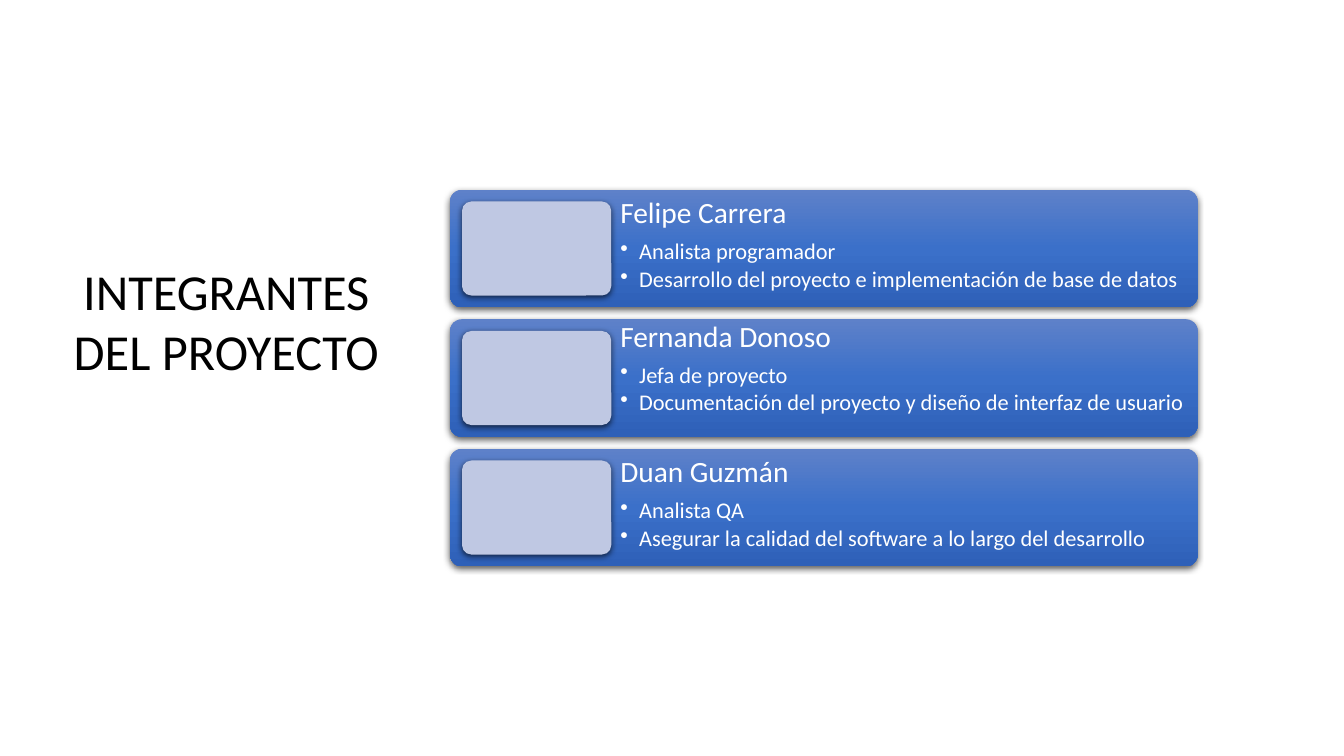
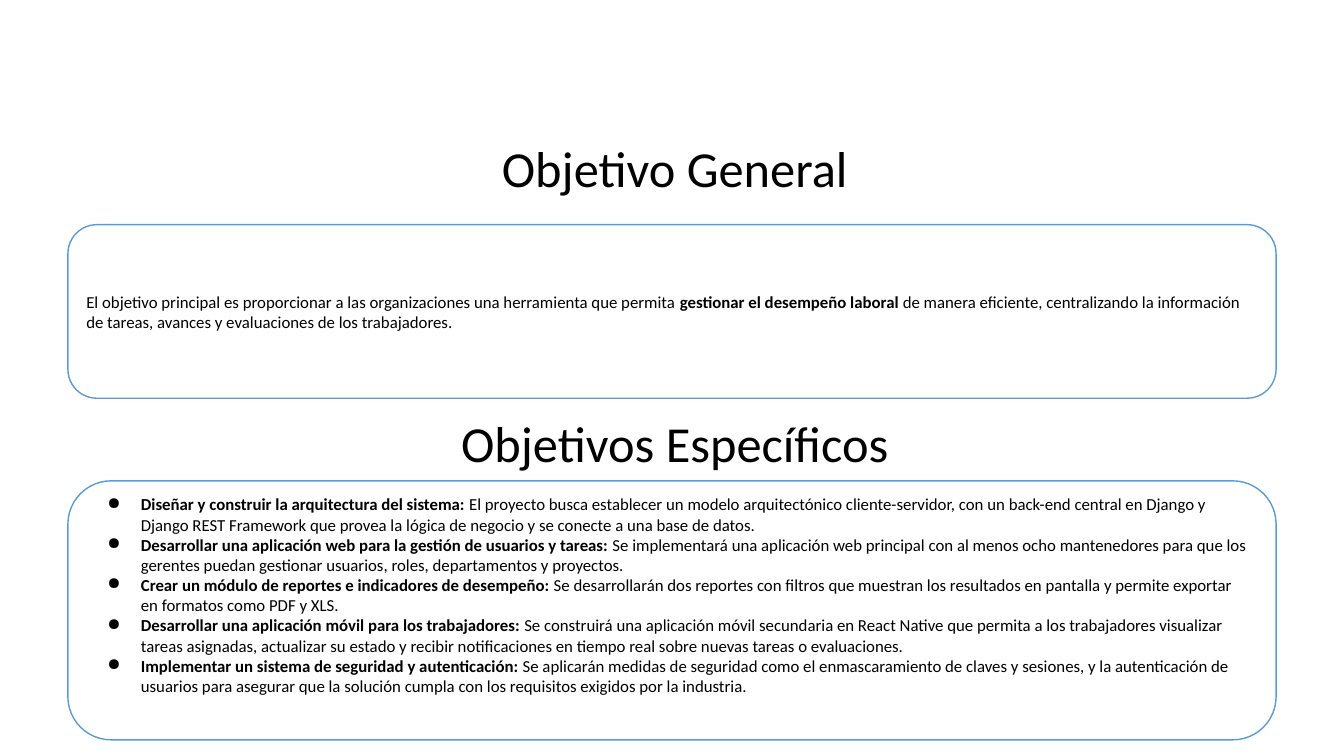
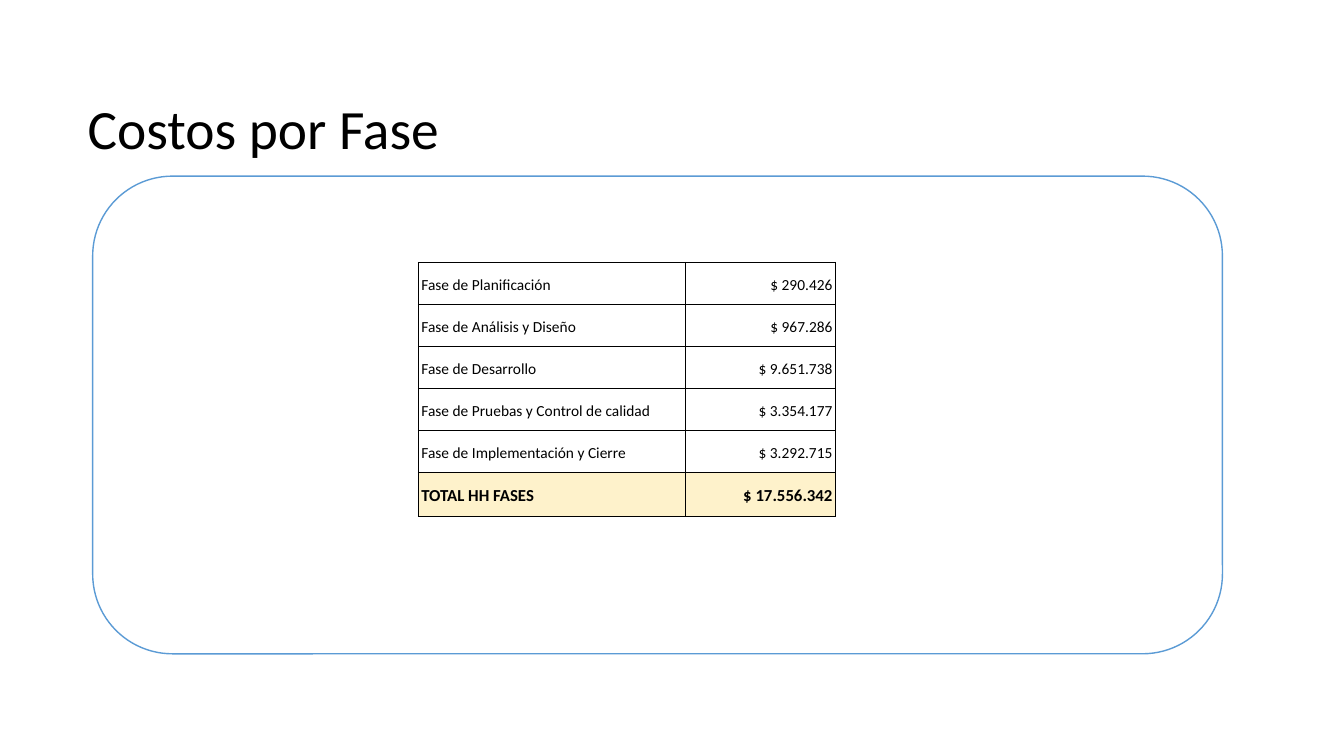
import pptx
import pptx.util
import pptx.dml.color
import pptx.enum.shapes
import pptx.enum.text
import pptx.oxml.ns
from lxml import etree

Pt = pptx.util.Pt
qn = pptx.oxml.ns.qn
SHAPE = pptx.enum.shapes.MSO_SHAPE
ALIGN = pptx.enum.text.PP_ALIGN
ANCHOR = pptx.enum.text.MSO_ANCHOR


def color(hex_code):
    return pptx.dml.color.RGBColor.from_string(hex_code)


def add_xml(parent, tag, **attributes):
    return etree.SubElement(parent, qn(tag), {k: str(v) for k, v in attributes.items()})


def write(paragraph, text, size=12, hex_code="000000", bold=False, align=None,
          spacing=None, before=None, bullet=None, indent=(0, 0)):
    """Write text into a paragraph; **marks** enclose bold words."""
    paragraph.alignment = align
    paragraph.line_spacing = spacing
    if before is not None:
        paragraph.space_before = Pt(before)
    if bullet:
        left, first = indent
        properties = paragraph._p.get_or_add_pPr()
        properties.set("marL", str(Pt(left)))
        properties.set("indent", str(Pt(first)))
        add_xml(add_xml(properties, "a:buClr"), "a:srgbClr", val=hex_code)
        add_xml(properties, "a:buChar", char=bullet)
    for i, part in enumerate(text.split("**")):
        if part:
            run = paragraph.add_run()
            run.text = part
            run.font.name = Deck.FONT
            run.font.size = Pt(size)
            run.font.bold = bold or i % 2 == 1
            run.font.color.rgb = color(hex_code)


class Deck:
    FONT = "Calibri"
    OUTLINE = "5B9BD5"
    CARD_STOPS = ((0, "5E81C9"), (50, "3B70C9"), (100, "2E60B8"))
    PHOTO = "BFC8E3"
    TOTAL = "FEF2CB"

    def __init__(self):
        self.presentation = pptx.Presentation()
        self.presentation.slide_width = Pt(960)
        self.presentation.slide_height = Pt(540)
        self.slide = None

    def new_slide(self):
        self.slide = self.presentation.slides.add_slide(self.presentation.slide_layouts[6])

    def fill_frame(self, frame, lines, insets=(7.2, 3.6, 7.2, 3.6), anchor=ANCHOR.TOP):
        """Each line is a pair of text and its format."""
        frame.word_wrap = True
        frame.vertical_anchor = anchor
        (frame.margin_left, frame.margin_top,
         frame.margin_right, frame.margin_bottom) = map(Pt, insets)
        for i, (text, style) in enumerate(lines):
            write(frame.add_paragraph() if i else frame.paragraphs[0], text, **style)

    def text(self, box, lines, **frame_style):
        frame = self.slide.shapes.add_textbox(*map(Pt, box)).text_frame
        self.fill_frame(frame, lines, **frame_style)

    def title(self, box, text, size=36, align=ALIGN.CENTER, spacing=None, **frame_style):
        self.text(box, [(text, dict(size=size, align=align, spacing=spacing))], **frame_style)

    def rounded(self, box, radius):
        shape = self.slide.shapes.add_shape(SHAPE.ROUNDED_RECTANGLE, *map(Pt, box))
        shape.adjustments[0] = radius
        shape.shadow.inherit = False
        return shape

    def panel(self, box, lines=(), **frame_style):
        """White panel with a thin blue outline."""
        shape = self.rounded(box, 0.167)
        shape.fill.solid()
        shape.fill.fore_color.rgb = color("FFFFFF")
        shape.line.color.rgb = color(self.OUTLINE)
        shape.line.width = Pt(1)
        self.fill_frame(shape.text_frame, lines, anchor=ANCHOR.MIDDLE, **frame_style)

    def raised(self, box, stops):
        """Borderless block with a soft shadow; one stop gives a plain fill."""
        shape = self.rounded(box, 0.1)
        shape.line.fill.background()
        if len(stops) == 1:
            shape.fill.solid()
            shape.fill.fore_color.rgb = color(stops[0][1])
        else:
            shape.fill.gradient()
            shape.fill.gradient_angle = 270
            stop_list = shape._element.spPr.find(".//" + qn("a:gsLst"))
            for old in list(stop_list):
                stop_list.remove(old)
            for position, hex_code in stops:
                stop = add_xml(stop_list, "a:gs", pos=position * 1000)
                add_xml(stop, "a:srgbClr", val=hex_code)
        shadow = add_xml(shape._element.spPr.find(qn("a:effectLst")), "a:outerShdw",
                         blurRad=Pt(4.5), dist=Pt(1.5), dir=5400000, rotWithShape=0)
        add_xml(add_xml(shadow, "a:srgbClr", val="000000"), "a:alpha", val=63000)

    def member_card(self, top, name, duties, text_shift=0):
        self.raised((321.5, top, 534, 84), self.CARD_STOPS)
        base = dict(hex_code="FFFFFF", spacing=0.9)
        duty = dict(base, size=16, bullet="•", indent=(13.5, -13.5))
        lines = [(name, dict(base, size=21))]
        lines += [(text, dict(duty, before=gap)) for text, gap in zip(duties, (7.3, 2.4))]
        self.text((436.8, top + text_shift, 419, 84), lines, insets=(6.3,) * 4)
        self.raised((330, top + 8.4, 106.6, 67.2), ((0, self.PHOTO),))

    def cost_table(self, left, top, widths, heights, rows):
        table = self.slide.shapes.add_table(
            len(rows), len(widths), Pt(left), Pt(top), Pt(sum(widths)), Pt(sum(heights))).table
        table.first_row = table.horz_banding = False
        for column, width in zip(table.columns, widths):
            column.width = Pt(width)
        for r, (values, height) in enumerate(zip(rows, heights)):
            table.rows[r].height = Pt(height)
            is_total = r == len(rows) - 1
            for c, value in enumerate(values):
                self.cost_cell(table.cell(r, c), value, is_total, c == 1)

    def cost_cell(self, cell, value, is_total, is_amount):
        cell.vertical_anchor = ANCHOR.BOTTOM
        cell.margin_left = cell.margin_right = Pt(2.2)
        cell.margin_top = cell.margin_bottom = Pt(7.2)
        write(cell.text_frame.paragraphs[0], value, size=12 if is_total else 11,
              bold=is_total, spacing=1.15, align=ALIGN.RIGHT if is_amount else ALIGN.LEFT)
        properties = cell._tc.get_or_add_tcPr()
        for side in ("a:lnL", "a:lnR", "a:lnT", "a:lnB"):
            border = add_xml(properties, side, w=Pt(0.75))
            add_xml(add_xml(border, "a:solidFill"), "a:srgbClr", val="000000")
        cell.fill.solid()
        cell.fill.fore_color.rgb = color(self.TOTAL if is_total else "FFFFFF")


def members_slide(deck):
    deck.new_slide()
    deck.title((44, 182, 235.5, 94.5), "INTEGRANTES DEL PROYECTO")
    members = (
        ("Felipe Carrera", ("Analista programador",
         "Desarrollo del proyecto e implementación de base de datos"), 0),
        ("Fernanda Donoso", ("Jefa de proyecto",
         "Documentación del proyecto y diseño de interfaz de usuario"), -4.3),
        ("Duan Guzmán", ("Analista QA",
         "Asegurar la calidad del software a lo largo del desarrollo"), 0),
    )
    for i, (name, duties, text_shift) in enumerate(members):
        deck.member_card(135.5 + i * 92.5, name, duties, text_shift)


def goals_slide(deck):
    deck.new_slide()
    general = (
        "El objetivo principal es proporcionar a las organizaciones una herramienta que permita "
        "**gestionar el desempeño laboral** de manera eficiente, centralizando la información "
        "de tareas, avances y evaluaciones de los trabajadores.")
    specific = (
        "**Diseñar y construir la arquitectura del sistema:** El proyecto busca establecer un "
        "modelo arquitectónico cliente-servidor, con un back-end central en Django y Django REST "
        "Framework que provea la lógica de negocio y se conecte a una base de datos.",
        "**Desarrollar una aplicación web para la gestión de usuarios y tareas:** Se implementará "
        "una aplicación web principal con al menos ocho mantenedores para que los gerentes puedan "
        "gestionar usuarios, roles, departamentos y proyectos.",
        "**Crear un módulo de reportes e indicadores de desempeño:** Se desarrollarán dos reportes "
        "con filtros que muestran los resultados en pantalla y permite exportar en formatos como "
        "PDF y XLS.",
        "**Desarrollar una aplicación móvil para los trabajadores: **Se construirá una aplicación "
        "móvil secundaria en React Native que permita a los trabajadores visualizar tareas "
        "asignadas, actualizar su estado y recibir notificaciones en tiempo real sobre nuevas "
        "tareas o evaluaciones.",
        "**Implementar un sistema de seguridad y autenticación:** Se aplicarán medidas de "
        "seguridad como el enmascaramiento de claves y sesiones, y la autenticación de usuarios "
        "para asegurar que la solución cumpla con los requisitos exigidos por la industria.",
    )
    goal = dict(align=ALIGN.LEFT, bullet="●", indent=(36, -24))
    deck.panel((48.5, 160.5, 863, 124), [(general, dict(align=ALIGN.LEFT))])
    deck.panel((48.5, 343.5, 863, 185), [(text, goal) for text in specific],
               insets=(7.2, 3.6, 7.2, 25.6))
    for top, heading in ((94.3, "Objetivo General"), (290.9, "Objetivos Específicos")):
        deck.title((12, top, 940, 51), heading)


def costs_slide(deck):
    deck.new_slide()
    deck.title((55.5, 71, 828, 46), "Costos por Fase", size=39.6, align=ALIGN.LEFT,
               spacing=0.9, anchor=ANCHOR.MIDDLE)
    deck.panel((66.2, 125.8, 807, 341.2))
    deck.cost_table(298.8, 187.4, (190.8, 107.3), (30,) * 5 + (31.4,), (
        ("Fase de Planificación", "$ 290.426"),
        ("Fase de Análisis y Diseño", "$ 967.286"),
        ("Fase de Desarrollo", "$ 9.651.738"),
        ("Fase de Pruebas y Control de calidad", "$ 3.354.177"),
        ("Fase de Implementación y Cierre", "$ 3.292.715"),
        ("TOTAL HH FASES", "$ 17.556.342"),
    ))


def main():
    deck = Deck()
    members_slide(deck)
    goals_slide(deck)
    costs_slide(deck)
    deck.presentation.save("out.pptx")


if __name__ == "__main__":
    main()
